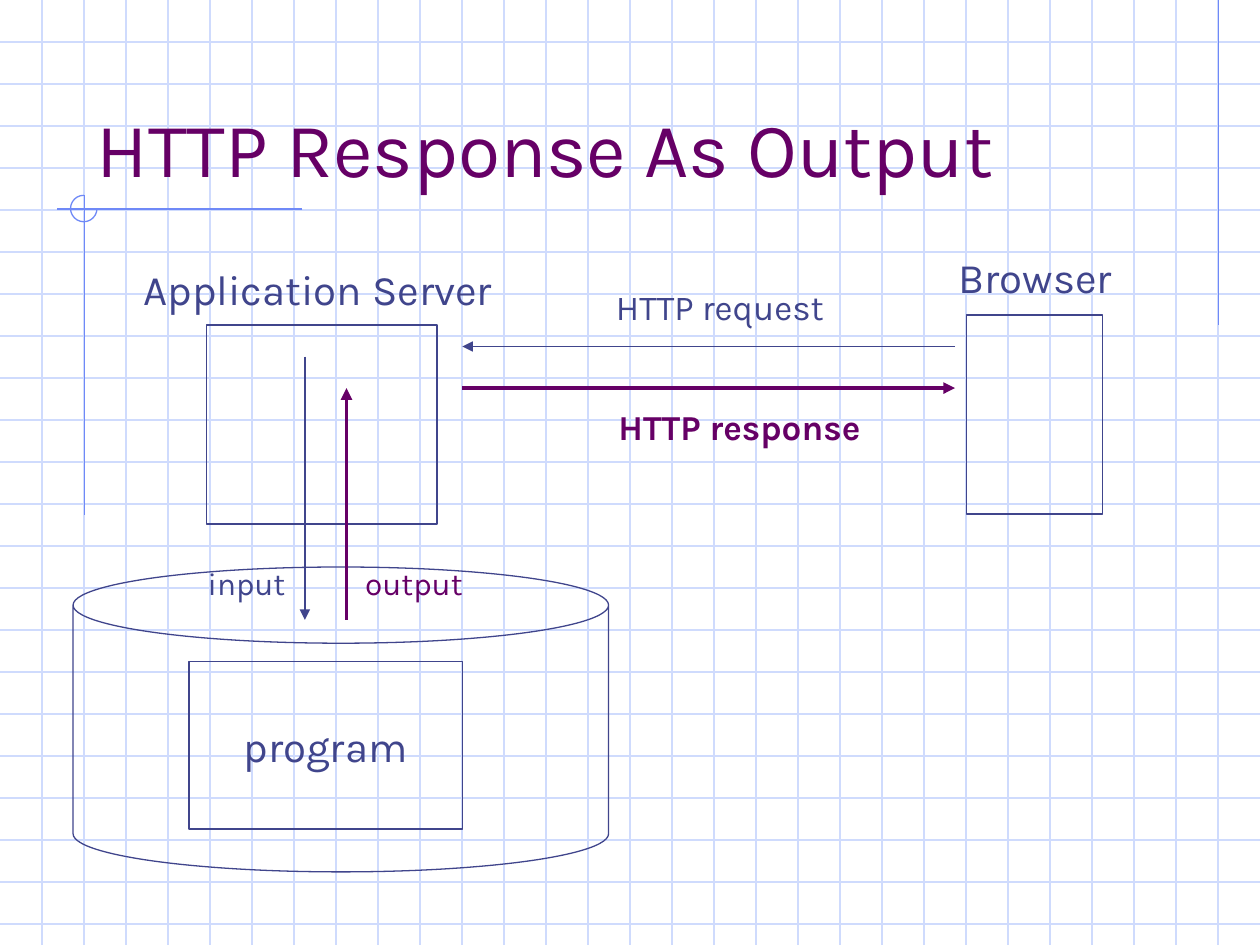
from lxml.etree import SubElement
from pptx import Presentation
from pptx.dml.color import RGBColor
from pptx.enum.shapes import MSO_CONNECTOR as Link, MSO_SHAPE as Kind
from pptx.enum.text import MSO_ANCHOR as Anchor, MSO_AUTO_SIZE as Fit, PP_ALIGN as Align
from pptx.oxml.ns import qn
from pptx.util import Inches, Pt

WIDE, HIGH = 10, 7.5
STEP = 1 / 3
FONT = "Karla"
PALE, BLUE, INK, PLUM = "CFDBFD", "6F89F7", "40458C", "660066"

# start x, y, end x, y
RULES = [
    (9.67, 0, 9.67, 2.58),
    (2.4, 1.66, 0.45, 1.66),
    (0.67, 1.55, 0.67, 4.09),
]
RING = (0.56, 1.55, 0.21, 0.21)

# kind, (left, top, width, height)
FRAMES = [
    (Kind.RECTANGLE, (7.67, 2.5, 1.08, 1.58)),
    (Kind.RECTANGLE, (1.64, 2.58, 1.83, 1.58)),
    (Kind.CAN, (0.58, 4.5, 4.25, 2.42)),
]
PROGRAM = (1.5, 5.25, 2.17, 1.33)

# start x, y, end x, y, colour, width
ARROWS = [
    (7.58, 2.75, 3.67, 2.75, INK, 0.75),
    (2.42, 2.83, 2.42, 4.92, INK, 0.75),
    (2.75, 4.92, 2.75, 3.08, PLUM, 2.25),
    (3.67, 3.08, 7.58, 3.08, PLUM, 2.25),
]

TITLE = ("HTTP Response As Output", (0.67, 0.33, 8.5, 1.25), 44, PLUM)
# text, (left, top, width, height), size, colour, bold
LABELS = [
    ("Browser", (7.51, 1.95, 1.5, 0.5), 24, INK, False),
    ("Application Server", (1.04, 2.04, 3.04, 0.5), 24, INK, False),
    ("HTTP request", (4.79, 2.22, 1.96, 0.44), 20, INK, False),
    ("HTTP response", (4.81, 3.17, 2.24, 0.44), 20, PLUM, True),
    ("input", (1.55, 4.43, 0.83, 0.4), 18, INK, False),
    ("output", (2.8, 4.43, 0.99, 0.4), 18, PLUM, False),
]


def inches(nums):
    return [Inches(n) for n in nums]


def paint(line, color, width=0.75):
    line.color.rgb = RGBColor.from_string(color)
    line.width = Pt(width)


def draw_line(slide, ends, color, width=0.75, arrow=False):
    link = slide.shapes.add_connector(Link.STRAIGHT, *inches(ends))
    paint(link.line, color, width)
    props = link._element.spPr
    if arrow:
        SubElement(props.find(qn("a:ln")), qn("a:tailEnd"), type="triangle")
    SubElement(props, qn("a:effectLst"))


def draw_frame(slide, kind, box, color):
    shape = slide.shapes.add_shape(kind, *inches(box))
    shape.shadow.inherit = False
    shape.fill.background()
    paint(shape.line, color)
    return shape


def write(shape, text, size, color, bold=False, wrap=False):
    frame = shape.text_frame
    frame.word_wrap = wrap
    run = frame.paragraphs[0].add_run()
    run.text = text
    font = run.font
    font.name, font.size, font.bold = FONT, Pt(size), bold
    font.color.rgb = RGBColor.from_string(color)
    return frame


def draw_back(slide):
    """Graph paper with its darker rules and ring."""
    for row in range(1, int(HIGH / STEP) + 1):
        draw_line(slide, (0, row * STEP, WIDE, row * STEP), PALE)
    for col in range(1, round(WIDE / STEP)):
        draw_line(slide, (col * STEP, 0, col * STEP, HIGH), PALE)
    for ends in RULES:
        draw_line(slide, ends, BLUE)
    ring = draw_frame(slide, Kind.ARC, RING, BLUE)
    ring.adjustments[0] = 0
    ring.adjustments[1] = 162  # 270 degrees


def main():
    deck = Presentation()
    deck.slide_width, deck.slide_height = inches((WIDE, HIGH))
    slide = deck.slides.add_slide(deck.slide_layouts[6])
    draw_back(slide)

    text, box, size, color = TITLE
    title = slide.shapes.add_textbox(*inches(box))
    write(title, text, size, color, wrap=True).vertical_anchor = Anchor.BOTTOM

    for kind, box in FRAMES:
        draw_frame(slide, kind, box, INK)
    for *ends, color, width in ARROWS:
        draw_line(slide, ends, color, width, arrow=True)

    program = draw_frame(slide, Kind.RECTANGLE, PROGRAM, INK)
    frame = write(program, "program", 24, INK)
    frame.vertical_anchor = Anchor.MIDDLE
    frame.paragraphs[0].alignment = Align.CENTER

    for text, box, *style in LABELS:
        label = slide.shapes.add_textbox(*inches(box))
        write(label, text, *style).auto_size = Fit.SHAPE_TO_FIT_TEXT
    deck.save("out.pptx")


if __name__ == "__main__":
    main()
